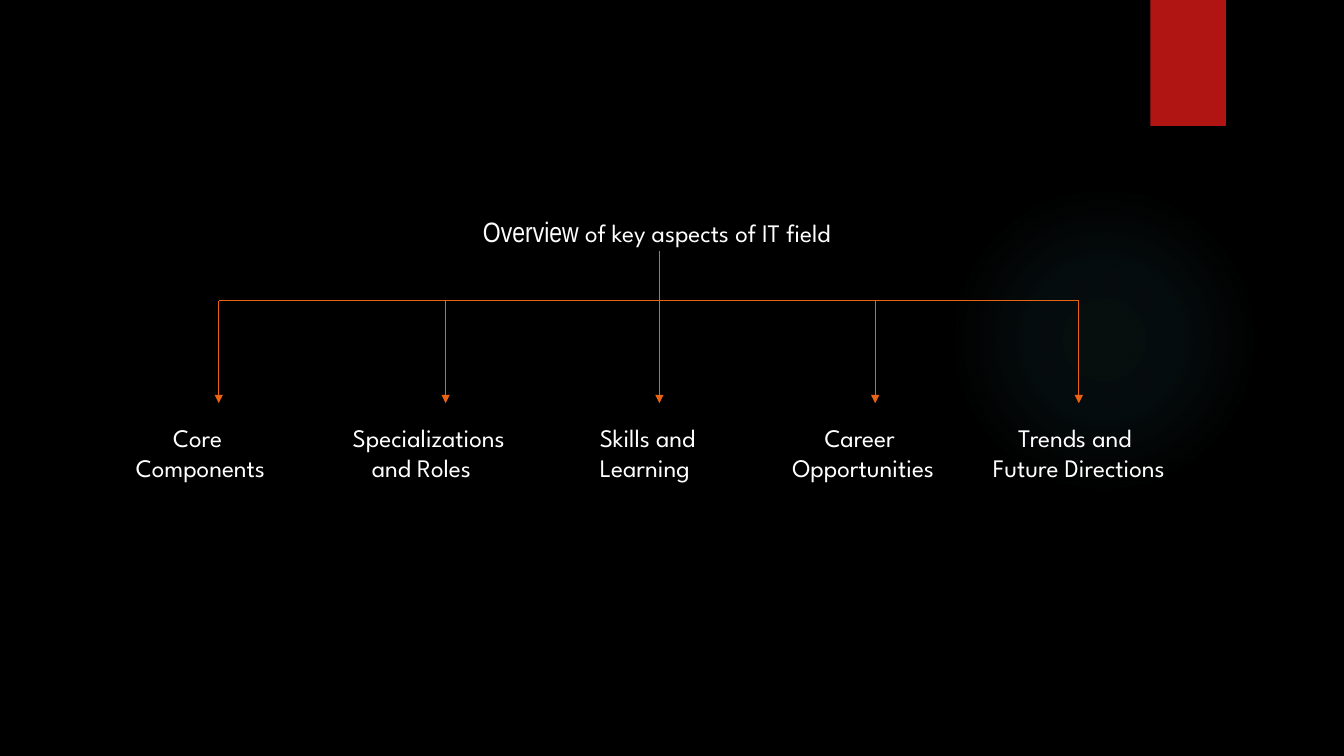
"""Build a slide with a tree of the key aspects of the IT field."""
import pptx
import pptx.dml.color
import pptx.enum.shapes
import pptx.enum.text
import pptx.oxml
import pptx.oxml.ns
import pptx.util
from lxml import etree

WIDE, HIGH = 13.33, 7.5
COLORS = {"back": "000000", "text": "FFFFFF", "line": "EA6312",
          "flag": "B01513", "glow": "50B9C1"}
FONT = "League Spartan"
TITLE = [[("Overview", "Arial Narrow", 20),
          (" of key aspects of IT field", FONT, 18)]]
ASPECTS = [
    {"lines": ["Core Components"], "indents": [0.37],
     "left": 1.25, "width": 1.84, "stem": 2.17},
    {"lines": ["Specializations", "and Roles"], "indents": [0, 0.19],
     "left": 3.4, "width": 2.05, "stem": 4.42},
    {"lines": ["Skills and Learning"], "indents": [0],
     "left": 5.85, "width": 1.39, "stem": 6.54},
    {"lines": ["Career Opportunities"], "indents": [0.32],
     "left": 7.76, "width": 1.85, "stem": 8.68},
    {"lines": ["Trends and\vFuture Directions"], "indents": [0.25],
     "left": 9.75, "width": 2.25, "stem": 10.7},
]
GLOW = [(0, 7), (36, 6), (69, 0)]
BAR, TIP, ROOT, LABEL = 2.985, 4, 2.49, 4.14
LABEL_H = 0.71

Inches = pptx.util.Inches
SHAPES = pptx.enum.shapes.MSO_SHAPE


def color(name):
    return pptx.dml.color.RGBColor.from_string(COLORS[name])


def place(shape, left, top, width, height):
    shape.left, shape.top = Inches(left), Inches(top)
    shape.width, shape.height = Inches(width), Inches(height)


def write(shape, paras, indents=(0,), tint="text"):
    frame = shape.text_frame
    frame.word_wrap = True
    frame.auto_size = pptx.enum.text.MSO_AUTO_SIZE.SHAPE_TO_FIT_TEXT
    frame.vertical_anchor = pptx.enum.text.MSO_ANCHOR.TOP
    for index, (runs, indent) in enumerate(zip(paras, indents)):
        para = frame.add_paragraph() if index else frame.paragraphs[0]
        para.alignment = pptx.enum.text.PP_ALIGN.LEFT
        if indent:
            para._p.get_or_add_pPr().set("indent", str(Inches(indent)))
        for text, font, size in runs:
            for part, piece in enumerate(text.split("\v")):
                if part:
                    para.add_line_break()
                run = para.add_run()
                run.text = piece
                run.font.name, run.font.size = font, pptx.util.Pt(size)
                run.font.color.rgb = color(tint)


def draw(slide, start, end, arrow=False):
    kind = pptx.enum.shapes.MSO_CONNECTOR.STRAIGHT
    line = slide.shapes.add_connector(kind, *map(Inches, start + end))
    line.line.color.rgb = color("line")
    line.line.width = pptx.util.Pt(0.75)
    qn = pptx.oxml.ns.qn
    if arrow:
        etree.SubElement(line.line._get_or_add_ln(), qn("a:tailEnd"),
                         type="triangle")
    etree.SubElement(line._element.spPr, qn("a:effectLst"))


def block(slide, kind, left, top, width, height, fill):
    shape = slide.shapes.add_shape(
        kind, *map(Inches, (left, top, width, height)))
    shape.shadow.inherit = False
    shape.fill.solid()
    shape.fill.fore_color.rgb = color(fill)
    shape.line.fill.background()
    return shape


def shine(shape):
    stops = "".join(
        f'<a:gs pos="{at * 1000}"><a:srgbClr val="{COLORS["glow"]}">'
        f'<a:alpha val="{alpha * 1000}"/></a:srgbClr></a:gs>'
        for at, alpha in GLOW)
    fill = pptx.oxml.parse_xml(
        f'<a:gradFill {pptx.oxml.ns.nsdecls("a")}><a:gsLst>{stops}</a:gsLst>'
        '<a:path path="circle"><a:fillToRect l="50000" t="50000" '
        'r="50000" b="50000"/></a:path></a:gradFill>')
    props = shape._element.spPr
    props.replace(props.find(pptx.oxml.ns.qn("a:solidFill")), fill)


def main():
    deck = pptx.Presentation()
    deck.slide_width, deck.slide_height = Inches(WIDE), Inches(HIGH)
    slide = deck.slides.add_slide(deck.slide_layouts[5])
    slide.background.fill.solid()
    slide.background.fill.fore_color.rgb = color("back")

    shine(block(slide, SHAPES.OVAL, 9.41, 1.83, 3.08, 3.08, "glow"))
    block(slide, SHAPES.RECTANGLE, 11.41, 0, 0.75, 1.25, "flag")

    stems = [aspect["stem"] for aspect in ASPECTS]
    draw(slide, (stems[0], BAR), (stems[-1], BAR))
    for stem in stems:
        draw(slide, (stem, BAR), (stem, TIP), arrow=True)
    mid = stems[len(stems) // 2]
    draw(slide, (mid, ROOT), (mid, BAR))

    title = slide.shapes.title
    place(title, 4.69, 2.08, 3.99, 0.44)
    write(title, TITLE)
    for aspect in ASPECTS:
        box = slide.shapes.add_textbox(0, 0, 0, 0)
        place(box, aspect["left"], LABEL, aspect["width"], LABEL_H)
        write(box, [[(line, FONT, 18)] for line in aspect["lines"]],
              indents=aspect["indents"])
    deck.save("out.pptx")


if __name__ == "__main__":
    main()
